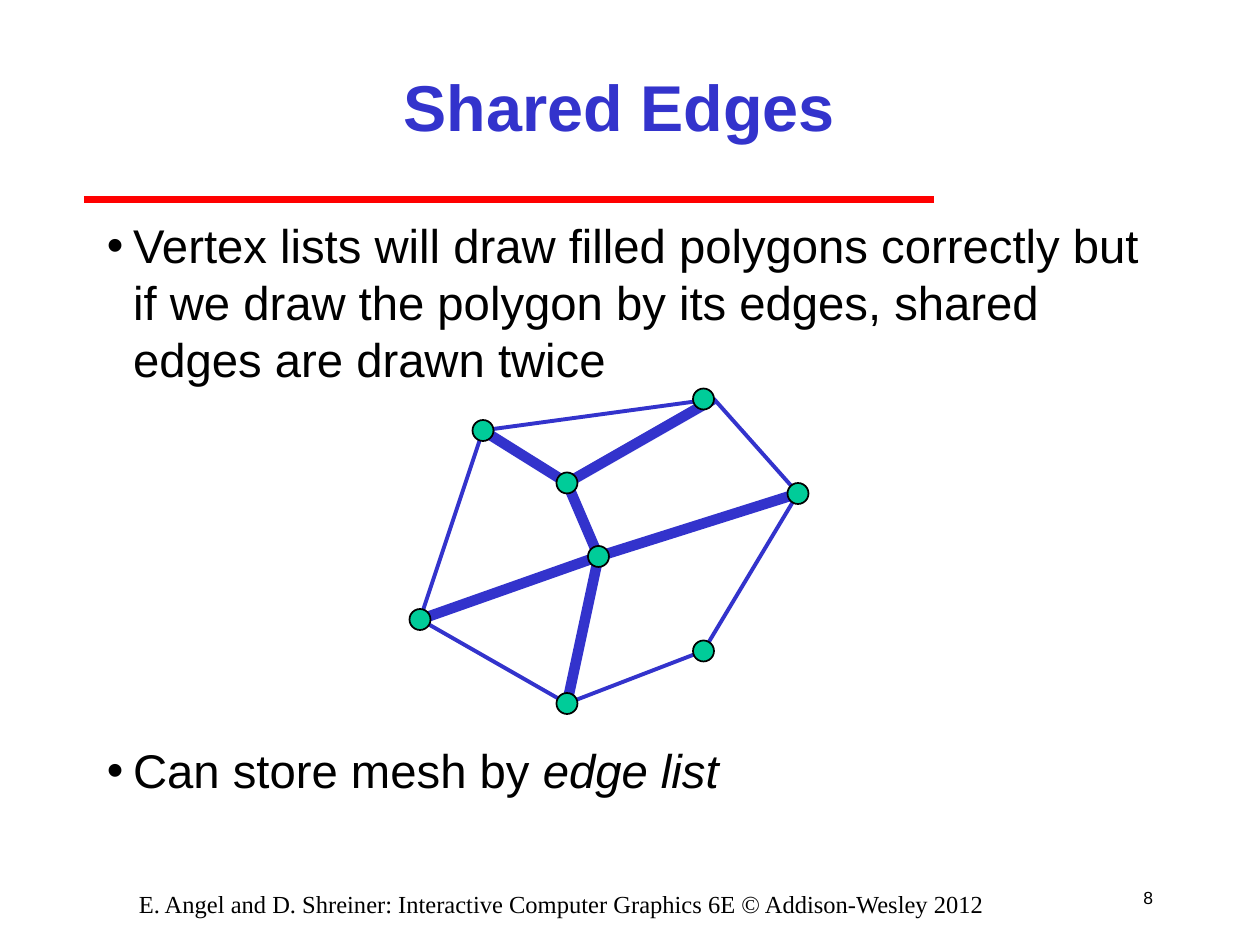
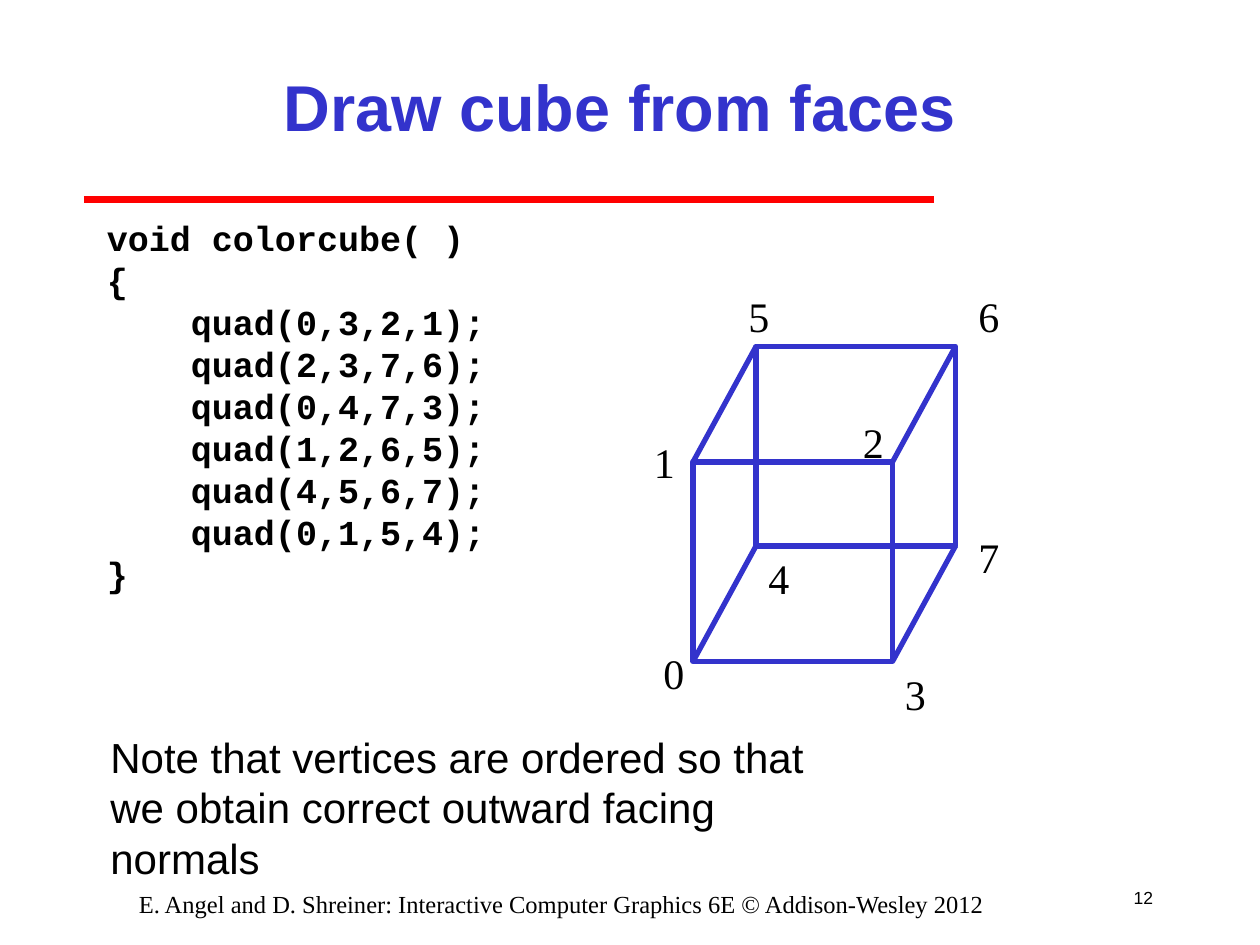
from dataclasses import dataclass, replace
from typing import NamedTuple

from lxml.etree import SubElement
from pptx import Presentation
from pptx.dml.color import RGBColor
from pptx.enum.shapes import MSO_CONNECTOR as CONN, MSO_SHAPE as SHAPE
from pptx.enum.text import MSO_ANCHOR as ANCHOR, PP_ALIGN as ALIGN
from pptx.oxml.ns import qn
from pptx.util import Pt

BLUE, GREEN, RED, BLACK = "3333CC", "00CC99", "FF0000", "000000"
FOOTER = "E. Angel and D. Shreiner: Interactive Computer Graphics 6E © Addison-Wesley 2012"
BULLET_INDENT = 15


class Point(NamedTuple):
    x: float
    y: float


class Box(NamedTuple):
    left: float
    top: float
    width: float
    height: float


@dataclass(frozen=True)
class Style:
    font: str
    size: float
    pitch: float
    color: str = BLACK
    bold: bool = False
    align: ALIGN = ALIGN.LEFT
    anchor: ANCHOR = ANCHOR.TOP
    wrap: bool = True


class Run(NamedTuple):
    text: str
    italic: bool = False


@dataclass(frozen=True)
class Para:
    runs: tuple[Run, ...]
    bullet: bool = False
    before: float = 0


TITLE = Style("Arial", 37, 44.5, BLUE, bold=True, align=ALIGN.CENTER, anchor=ANCHOR.MIDDLE)
BODY = Style("Arial", 27, 32.5)
NOTE = Style("Arial", 24, 29, wrap=False)
CODE = Style("Courier New", 20, 24, bold=True)
VERTEX = Style("Times New Roman", 24, 29, wrap=False)
FOOT = replace(VERTEX, size=14, pitch=17, align=ALIGN.CENTER, wrap=True)
NUMBER = Style("Arial", 10, 12, align=ALIGN.RIGHT, anchor=ANCHOR.MIDDLE)

BODY_BOX = Box(54, 120, 612, 372)

# Mesh vertices of the shared-edge figure
LEFT, UPPER_LEFT, TOP = Point(240, 354), Point(276, 246), Point(408, 228)
RIGHT, LOWER_RIGHT, BOTTOM = Point(456, 282), Point(402, 372), Point(324, 402)
HUB, INNER = Point(342, 318), Point(324, 276)
OUTLINE = (LEFT, UPPER_LEFT, TOP, RIGHT, LOWER_RIGHT, BOTTOM)
SHARED_EDGES = ((LEFT, HUB), (HUB, BOTTOM), (HUB, RIGHT), (HUB, INNER),
                (INNER, TOP), (INNER, UPPER_LEFT))
NODES = (LEFT, UPPER_LEFT, HUB, BOTTOM, LOWER_RIGHT, INNER, RIGHT, Point(402, 228))
NODE_SIZE = 12

CUBE_SIDE = 114
FRONT, BACK = Point(396, 264), Point(432, 198)
VERTEX_LABELS = {
    "0": Point(372, 366), "5": Point(420.5, 162), "6": Point(552, 162),
    "2": Point(486, 234), "4": Point(432, 312), "7": Point(552, 300),
    "1": Point(366.5, 246), "3": Point(510, 378),
}
CUBE_CODE = """void colorcube( )
{
    quad(0,3,2,1);
    quad(2,3,7,6);
    quad(0,4,7,3);
    quad(1,2,6,5);
    quad(4,5,6,7);
    quad(0,1,5,4);
}"""


def rgb(color: str) -> RGBColor:
    return RGBColor.from_string(color)


def lines(text: str) -> list[Para]:
    return [Para((Run(line),)) for line in text.splitlines()]


def set_bullet(p) -> None:
    pPr = p._p.get_or_add_pPr()
    pPr.set("marL", str(Pt(BULLET_INDENT)))
    pPr.set("indent", str(-Pt(BULLET_INDENT)))
    SubElement(SubElement(pPr, qn("a:buClr")), qn("a:srgbClr"), val=BLACK)
    SubElement(pPr, qn("a:buFont"), typeface="Arial")
    SubElement(pPr, qn("a:buChar"), char="•")


def add_text(s, box: Box, paras: list[Para], style: Style) -> None:
    tf = s.shapes.add_textbox(*map(Pt, box)).text_frame
    tf.word_wrap = style.wrap
    tf.vertical_anchor = style.anchor
    for i, para in enumerate(paras):
        p = tf.add_paragraph() if i else tf.paragraphs[0]
        if para.bullet:
            set_bullet(p)
        p.alignment = style.align
        p.line_spacing = Pt(style.pitch)
        if para.before:
            p.space_before = Pt(para.before)
        for run in para.runs:
            r = p.add_run()
            r.text = run.text
            r.font.name, r.font.size = style.font, Pt(style.size)
            r.font.bold, r.font.italic = style.bold, run.italic
            r.font.color.rgb = rgb(style.color)


def add_line(s, start: Point, end: Point, color: str, width: float) -> None:
    line = s.shapes.add_connector(CONN.STRAIGHT, *map(Pt, start + end))
    line.line.color.rgb = rgb(color)
    line.line.width = Pt(width)
    SubElement(line._element.spPr, qn("a:effectLst"))


def paint(sp, line: str, width: float, fill: str | None = None) -> None:
    sp.shadow.inherit = False
    sp.line.color.rgb = rgb(line)
    sp.line.width = Pt(width)
    if fill:
        sp.fill.solid()
        sp.fill.fore_color.rgb = rgb(fill)
    else:
        sp.fill.background()


def add_slide(prs, title: str, number: int):
    """Add a slide with the shared title, red rule and footer."""
    s = prs.slides.add_slide(prs.slide_layouts[6])
    add_line(s, Point(48, 114), Point(534, 114), RED, 4)
    add_text(s, Box(636, 498, 30, 30), lines(str(number)), NUMBER)
    add_text(s, Box(36, 504, 570, 24), lines(FOOTER), FOOT)
    add_text(s, Box(108, 18, 492, 84), lines(title), TITLE)
    return s


def draw_mesh(s) -> None:
    start, *rest = OUTLINE
    builder = s.shapes.build_freeform(*start, scale=Pt(1))
    builder.add_line_segments(rest, close=True)
    paint(builder.convert_to_shape(), BLUE, 2.25)
    for start, end in SHARED_EDGES:
        add_line(s, start, end, BLUE, 6)
    for node in NODES:
        box = Box(node.x - NODE_SIZE / 2, node.y - NODE_SIZE / 2, NODE_SIZE, NODE_SIZE)
        paint(s.shapes.add_shape(SHAPE.OVAL, *map(Pt, box)), BLACK, 1, GREEN)


def draw_cube(s) -> None:
    for corner in (FRONT, BACK):
        box = Box(*corner, CUBE_SIDE, CUBE_SIDE)
        paint(s.shapes.add_shape(SHAPE.RECTANGLE, *map(Pt, box)), BLUE, 3)
    for dx in (0, CUBE_SIDE):
        for dy in (0, CUBE_SIDE):
            add_line(s, Point(BACK.x + dx, BACK.y + dy),
                     Point(FRONT.x + dx, FRONT.y + dy), BLUE, 3)
    for label, corner in VERTEX_LABELS.items():
        add_text(s, Box(*corner, 26, 36), lines(label), VERTEX)


def shared_edges_slide(prs) -> None:
    s = add_slide(prs, "Shared Edges", 8)
    add_text(s, BODY_BOX, [
        Para((Run("Vertex lists will draw filled polygons correctly but if we draw "
                  "the polygon by its edges, shared edges are drawn twice"),), bullet=True),
        Para((Run("Can store mesh by "), Run("edge list", italic=True)),
             bullet=True, before=202.5),
    ], BODY)
    draw_mesh(s)


def cube_slide(prs) -> None:
    s = add_slide(prs, "Draw cube from faces", 12)
    add_text(s, BODY_BOX, lines(CUBE_CODE), CODE)
    draw_cube(s)
    add_text(s, Box(56, 414, 451.5, 65), lines(
        "Note that vertices are ordered so that\n"
        "we obtain correct outward facing normals"), NOTE)


def main() -> None:
    prs = Presentation()
    prs.slide_width, prs.slide_height = Pt(720), Pt(540)
    shared_edges_slide(prs)
    cube_slide(prs)
    prs.save("out.pptx")


if __name__ == "__main__":
    main()
